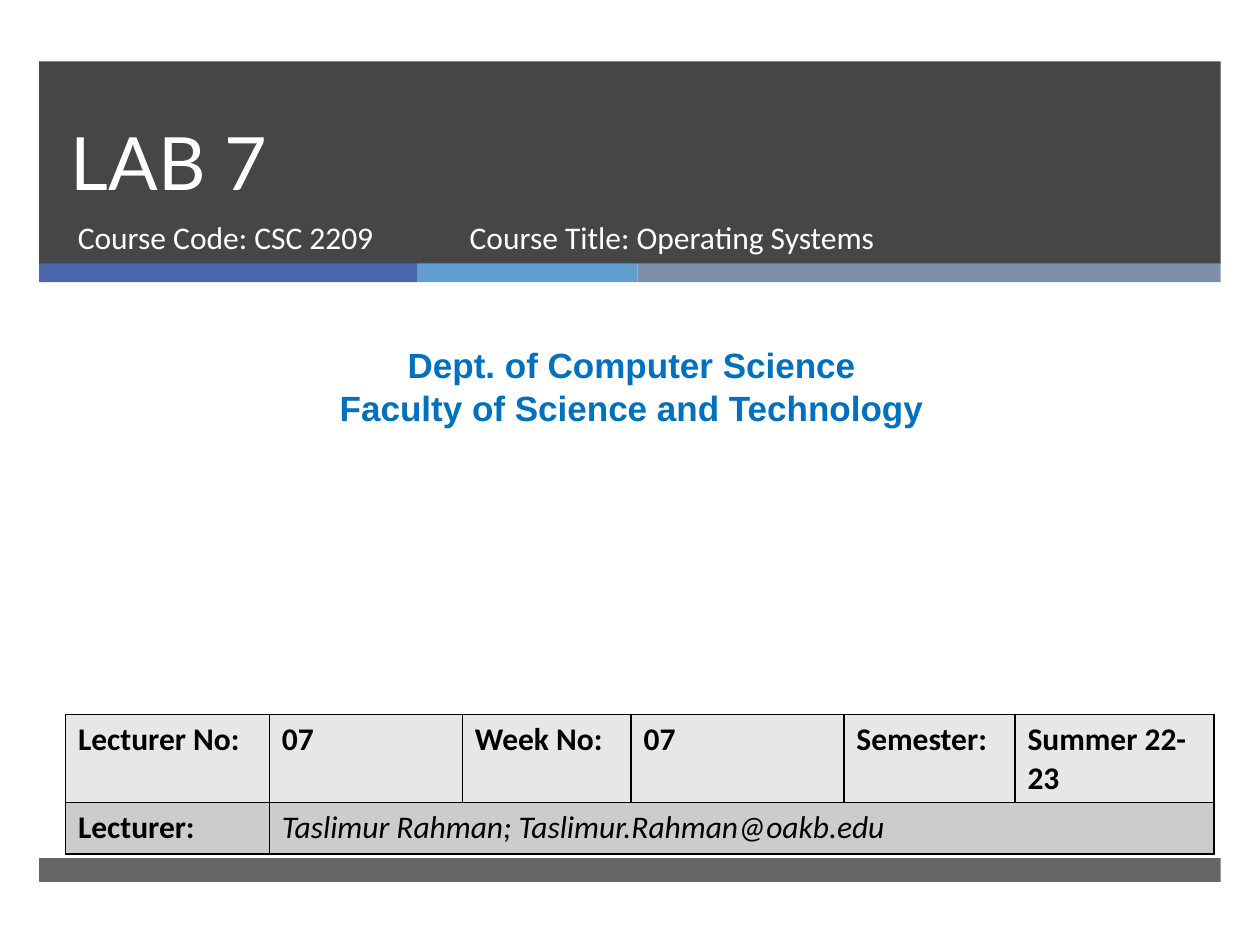
"""Build the title slide of an operating systems lab lecture."""
from lxml.etree import SubElement
from pptx import Presentation
from pptx.dml.color import RGBColor
from pptx.enum.shapes import MSO_SHAPE
from pptx.enum.text import MSO_ANCHOR, PP_ALIGN
from pptx.oxml import parse_xml
from pptx.oxml.ns import nsdecls, qn
from pptx.util import Cm, Pt

WHITE = RGBColor(0xFF, 0xFF, 0xFF)
BLACK = RGBColor(0, 0, 0)
CHARCOAL = RGBColor(0x26, 0x26, 0x26)
INDIGO = RGBColor(0x4A, 0x66, 0xAC)
SKY = RGBColor(0x62, 0x9D, 0xD1)
SLATE = RGBColor(0x7F, 0x8F, 0xA9)
BLUE = RGBColor(0x00, 0x70, 0xC0)
ROW_FILLS = [RGBColor(0xE7, 0xE7, 0xE7), RGBColor(0xCC, 0xCC, 0xCC)]

TITLE = "LAB 7"
COURSE = [
    ("Course Code: CSC 2209", 1.32, 7.75),
    ("Course Title: Operating Systems", 9.22, 11.56),
]
DEPARTMENT = "Dept. of Computer Science\nFaculty of Science and Technology"
LECTURE = [
    ["Lecturer No:", "07", "Week No:", "07", "Semester:", "Summer 22-23"],
    ["Lecturer:", "Taslimur Rahman; Taslimur.Rahman@oakb.edu"],
]
COLUMN_WIDTHS = [4.11, 3.89, 3.4, 4.29, 3.45, 4.01]
ROW_HEIGHTS = [1.78, 1.04]
MARGIN, BAND_WIDTH = 0.79, 23.82
STRIPES = [(INDIGO, 7.62), (SKY, 4.44), (SLATE, 11.76)]


def add_bar(page, left, top, width, height, color, opacity=100):
    bar = page.shapes.add_shape(
        MSO_SHAPE.RECTANGLE, Cm(left), Cm(top), Cm(width), Cm(height))
    bar.shadow.inherit = False
    bar.fill.solid()
    bar.fill.fore_color.rgb = color
    bar.line.fill.background()
    if opacity < 100:
        tone = bar.fill._xPr.find(qn("a:solidFill"))[0]
        SubElement(tone, qn("a:alpha")).set("val", str(opacity * 1000))


def write(frame, text, size, font, color, bold=False, italic=False, align=PP_ALIGN.LEFT):
    frame.text = text
    frame.word_wrap = True
    for paragraph in frame.paragraphs:
        paragraph.alignment = align
        for span in paragraph.runs:
            span.font.size = Pt(size)
            span.font.name = font
            span.font.color.rgb = color
            span.font.bold = bold
            span.font.italic = italic


def add_text(page, left, top, width, height, *content, **style):
    box = page.shapes.add_textbox(Cm(left), Cm(top), Cm(width), Cm(height))
    write(box.text_frame, *content, **style)


def add_borders(cell):
    properties = cell._tc.get_or_add_tcPr()
    for position, side in enumerate(("lnL", "lnR", "lnT", "lnB")):
        properties.insert(position, parse_xml(
            f'<a:{side} {nsdecls("a")} w="12700"><a:solidFill>'
            f'<a:srgbClr val="{BLACK}"/></a:solidFill></a:{side}>'))


deck = Presentation()
deck.slide_width, deck.slide_height = Cm(25.4), Cm(19.05)
page = deck.slides.add_slide(deck.slide_layouts[5])

add_bar(page, MARGIN, 1.24, BAND_WIDTH, 4.08, CHARCOAL, 85)
stripe_left = MARGIN
for color, width in STRIPES:
    add_bar(page, stripe_left, 5.31, width, 0.38, color)
    stripe_left += width
add_bar(page, MARGIN, 17.3, BAND_WIDTH, 0.48, CHARCOAL, 70)

title = page.shapes.title
title.left, title.top, title.width, title.height = Cm(1.17), Cm(1.24), Cm(21.69), Cm(3.02)
write(title.text_frame, TITLE, 42, "Lato", WHITE)
title.text_frame.vertical_anchor = MSO_ANCHOR.BOTTOM
title.text_frame.paragraphs[0].line_spacing = Pt(46)
page.shapes._spTree.append(title._element)

for text, left, width in COURSE:
    add_text(page, left, 4.27, width, 1.35, text, 18, "Calibri", WHITE)
add_text(page, 0.2, 6.81, 25.07, 1.96, DEPARTMENT, 20, "Arial", BLUE,
         bold=True, align=PP_ALIGN.CENTER)

table = page.shapes.add_table(
    len(ROW_HEIGHTS), len(COLUMN_WIDTHS), Cm(1.32), Cm(14.4),
    Cm(sum(COLUMN_WIDTHS)), Cm(sum(ROW_HEIGHTS))).table
for column, width in zip(table.columns, COLUMN_WIDTHS):
    column.width = Cm(width)
for row, height in zip(table.rows, ROW_HEIGHTS):
    row.height = Cm(height)
table.cell(1, 1).merge(table.cell(1, len(COLUMN_WIDTHS) - 1))
for row, fill, texts in zip(table.rows, ROW_FILLS, LECTURE):
    for cell in row.cells:
        cell.fill.solid()
        cell.fill.fore_color.rgb = fill
        add_borders(cell)
    for cell, text in zip(row.cells, texts):
        is_contact = "@" in text
        write(cell.text_frame, text, 18, "Calibri", BLACK,
              bold=not is_contact, italic=is_contact)

deck.save("out.pptx")
